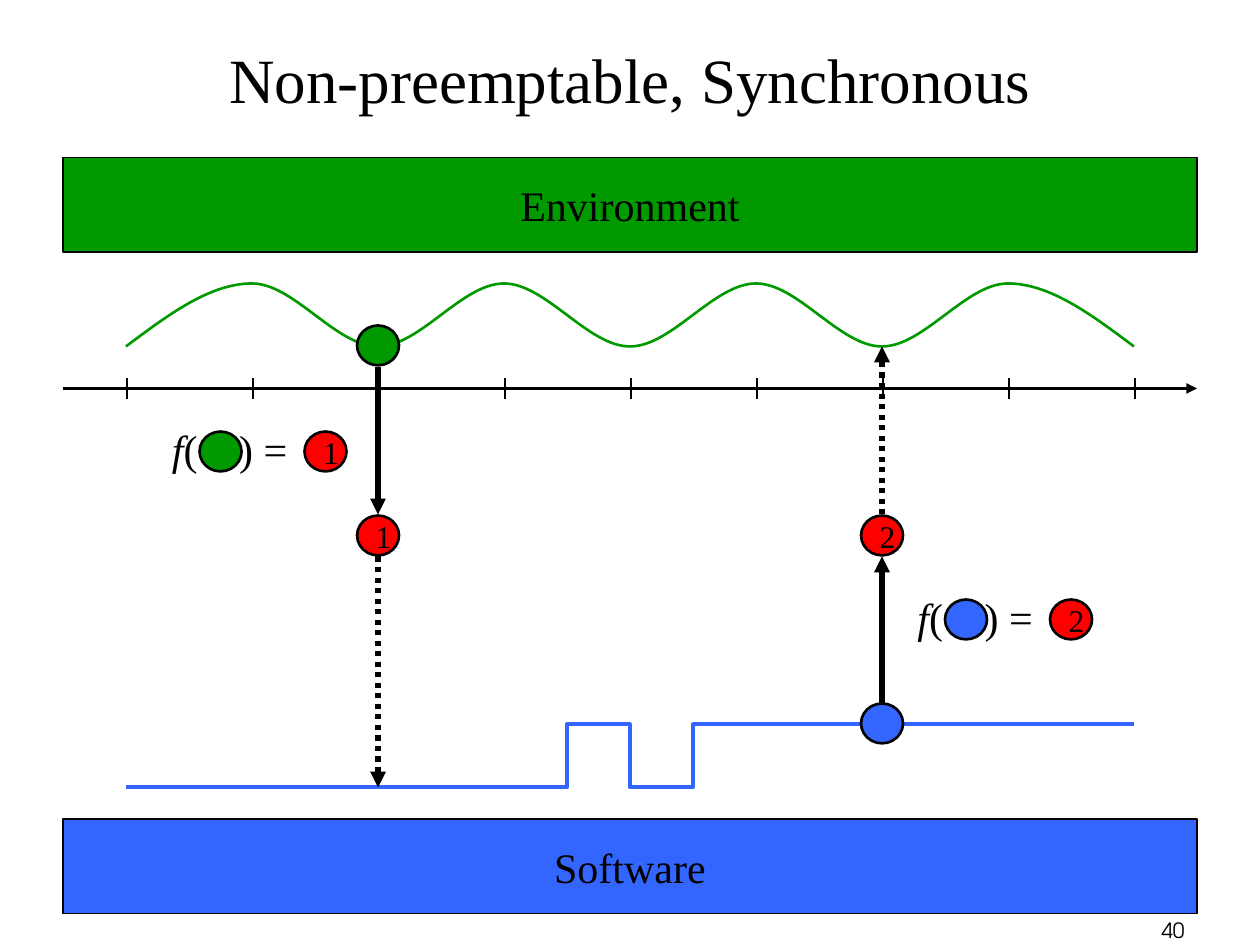
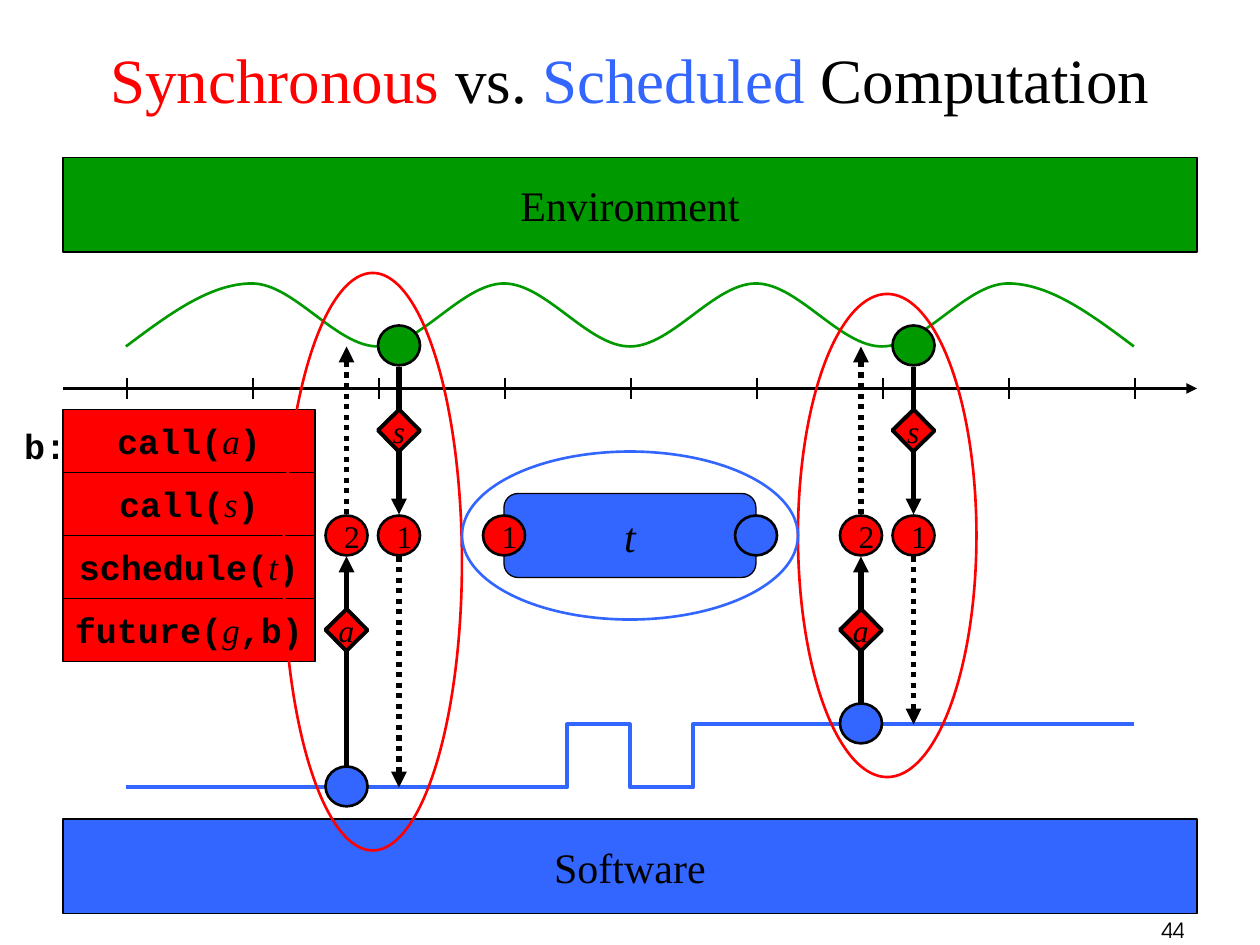
from dataclasses import dataclass
from typing import NamedTuple, Optional

from lxml.etree import SubElement
from pptx import Presentation
from pptx.dml.color import RGBColor
from pptx.enum.dml import MSO_LINE_DASH_STYLE as Dash
from pptx.enum.shapes import MSO_CONNECTOR as Connector, MSO_SHAPE as Preset
from pptx.enum.text import MSO_ANCHOR as Anchor, MSO_AUTO_SIZE as AutoSize, PP_ALIGN as Align
from pptx.oxml.ns import qn
from pptx.util import Pt

SCALE = 7620  # EMU per px, 120 px to the inch

BLACK, GREEN, BLUE, RED = "000000", "009900", "3366FF", "FF0000"
SERIF, MONO, SANS = "Times New Roman", "Courier New", "TeX Gyre Adventor"

CIRCLE_WIDTH, CIRCLE_HEIGHT, DIAMOND = 40, 38, 40
COLUMN = 120
CREST, TROUGH = 270, 330
HIGH, LOW = 690, 750
AXIS_Y = 370
CALL_TOP, CALL_BOTTOM = 490, 530


class Area(NamedTuple):
    left: int
    top: int
    width: int
    height: int


class Run(NamedTuple):
    text: str
    color: Optional[str] = None
    font: Optional[str] = None
    bold: Optional[bool] = None
    italic: Optional[bool] = None


@dataclass
class TextStyle:
    size: int = 24
    font: str = SERIF
    bold: bool = False
    align: Align = Align.CENTER


BODY = TextStyle()
NUMBER = TextStyle(18, align=Align.LEFT)
TRIGGER = TextStyle(18)
CODE = TextStyle(20, MONO, bold=True)
TITLE = TextStyle(36)
PAGE = TextStyle(12, SANS, align=Align.RIGHT)
FORMULA = TextStyle(align=Align.LEFT)


@dataclass
class Reaction:
    """A vertical flow between environment and software, in either direction."""
    x: int
    software_y: int
    sensing: bool
    trigger: str = ""


@dataclass
class Formula:
    left: int
    top: int
    color: str
    result: str


def rgb(color: str) -> RGBColor:
    return RGBColor.from_string(color)


def emu(area: Area) -> list[int]:
    return [value * SCALE for value in area]


def write(frame, runs: list[Run], style: TextStyle, wrap: bool = False) -> None:
    frame.word_wrap = wrap
    paragraph = frame.paragraphs[0]
    paragraph.alignment = style.align
    font = paragraph.font
    font.size, font.name, font.bold = Pt(style.size), style.font, style.bold
    font.color.rgb = rgb(BLACK)
    for part in runs:
        run = paragraph.add_run()
        run.text = part.text
        if part.color:
            run.font.color.rgb = rgb(part.color)
        if part.font:
            run.font.name = part.font
        if part.bold is not None:
            run.font.bold = part.bold
        if part.italic is not None:
            run.font.italic = part.italic


def add_text(slide, area: Area, runs: list[Run], style: TextStyle, wrap: bool = False):
    box = slide.shapes.add_textbox(*emu(area))
    write(box.text_frame, runs, style, wrap)
    return box


def paint(shape, fill: Optional[str], line: str, width: float) -> None:
    shape.shadow.inherit = False
    if fill:
        shape.fill.solid()
        shape.fill.fore_color.rgb = rgb(fill)
    else:
        shape.fill.background()
    shape.line.color.rgb = rgb(line)
    shape.line.width = Pt(width)


def add_box(slide, preset: Preset, area: Area, fill: Optional[str], runs: list[Run] = [],
            style: TextStyle = BODY, line: str = BLACK, width: float = 0.75):
    shape = slide.shapes.add_shape(preset, *emu(area))
    paint(shape, fill, line, width)
    if runs:
        shape.text_frame.vertical_anchor = Anchor.MIDDLE
        write(shape.text_frame, runs, style)
    return shape


def add_circle(slide, left: int, top: int, color: str, number: str = "") -> None:
    area = Area(left, top, CIRCLE_WIDTH, CIRCLE_HEIGHT)
    runs = [Run(number)] if number else []
    add_box(slide, Preset.OVAL, area, color, runs, NUMBER, width=1.5)


def add_line(shapes, start: tuple[int, int], end: tuple[int, int], width: float,
             arrow: bool = True, dotted: bool = False) -> None:
    ends = [value * SCALE for value in (*start, *end)]
    connector = shapes.add_connector(Connector.STRAIGHT, *ends)
    connector.line.color.rgb = rgb(BLACK)
    connector.line.width = Pt(width)
    if dotted:
        connector.line.dash_style = Dash.ROUND_DOT
    properties = connector.element.spPr
    if arrow:
        SubElement(properties.find(qn("a:ln")), qn("a:tailEnd"), type="triangle")
    SubElement(properties, qn("a:effectLst"))


def add_outline(slide, points: list[tuple[int, int]], color: str, width: float):
    builder = slide.shapes.build_freeform(*points[0], scale=SCALE)
    builder.add_line_segments(points[1:], close=False)
    shape = builder.convert_to_shape()
    paint(shape, None, color, width)
    return shape


def curve_segments(shape) -> None:
    """Turn every three line segments into one Bézier segment."""
    outline = next(shape.element.iter(qn("a:path")))
    segments = outline.findall(qn("a:lnTo"))
    for first in range(0, len(segments), 3):
        curve = SubElement(outline, qn("a:cubicBezTo"))
        for segment in segments[first:first + 3]:
            curve.append(segment[0])
            outline.remove(segment)


def add_time_axis(slide) -> None:
    axis = slide.shapes.add_group_shape().shapes
    add_line(axis, (60, AXIS_Y), (1140, AXIS_Y), 2)
    for column in range(9):
        x = 121 + column * COLUMN
        add_line(axis, (x, AXIS_Y - 10), (x, AXIS_Y + 10), 1.5, arrow=False)


def add_signals(slide) -> None:
    middle = (CREST + TROUGH) // 2
    heights = [TROUGH, middle]
    for turn in range(7):
        heights += [TROUGH if turn % 2 else CREST] * 3
    heights += [middle, TROUGH]
    wave = [(COLUMN + step * COLUMN // 3, y) for step, y in enumerate(heights)]
    curve_segments(add_outline(slide, wave, GREEN, 1.5))
    pulse = [(120, LOW), (540, LOW), (540, HIGH), (600, HIGH),
             (600, LOW), (660, LOW), (660, HIGH), (1080, HIGH)]
    add_outline(slide, pulse, BLUE, 2.25)


def start_slide(presentation, title_runs: list[Run], page: str):
    slide = presentation.slides.add_slide(presentation.slide_layouts[5])
    title = slide.shapes.title
    title.left, title.top, title.width, title.height = emu(Area(90, 0, 1020, 150))
    title.text_frame.auto_size = AutoSize.NONE
    title.text_frame.vertical_anchor = Anchor.MIDDLE
    write(title.text_frame, title_runs, TITLE, wrap=True)
    add_time_axis(slide)
    for name, top, color in (("Environment", 150, GREEN), ("Software", 780, BLUE)):
        add_box(slide, Preset.RECTANGLE, Area(60, top, 1080, 90), color, [Run(name)])
    add_signals(slide)
    add_text(slide, Area(890, 868, 250, 30), [Run(page)], PAGE, wrap=True)
    return slide


def add_reaction(slide, reaction: Reaction) -> None:
    x, software_y = reaction.x, reaction.software_y
    left = x - CIRCLE_WIDTH // 2
    if reaction.sensing:
        solid, dotted = (350, CALL_TOP), (CALL_BOTTOM, software_y)
        source_top, color, number, trigger_top = 310, GREEN, "1", 390
    else:
        solid, dotted = (software_y - 20, CALL_BOTTOM), (CALL_TOP, TROUGH)
        source_top, color, number, trigger_top = software_y - 20, BLUE, "2", 580
    add_line(slide.shapes, (x, solid[0]), (x, solid[1]), 3)
    add_line(slide.shapes, (x, dotted[0]), (x, dotted[1]), 3, dotted=True)
    add_circle(slide, left, source_top, color)
    add_circle(slide, left, CALL_TOP + 1, RED, number)
    if reaction.trigger:
        diamond = add_box(slide, Preset.DIAMOND, Area(left, trigger_top, DIAMOND, DIAMOND), RED,
                          [Run(reaction.trigger, italic=True)], TRIGGER, width=2.25)
        diamond.rotation = 0.6


def add_formula(slide, formula: Formula) -> None:
    """Write f(●) = ●, with a tab stop leaving room for the argument."""
    area = Area(formula.left - 38, formula.top - 14, 144, 60)
    box = slide.shapes.add_textbox(*emu(area))
    properties = box.text_frame.paragraphs[0]._p.get_or_add_pPr()
    tabs = SubElement(properties, qn("a:tabLst"))
    SubElement(tabs, qn("a:tab"), pos=str(64 * SCALE), algn="l")
    write(box.text_frame, [Run("f", italic=True), Run("(\t) =")], FORMULA, wrap=True)
    add_circle(slide, formula.left, formula.top, formula.color)
    add_circle(slide, formula.left + 100, formula.top, RED, formula.result)


def build_synchronous(presentation) -> None:
    slide = start_slide(presentation, [Run("Non-preemptable, Synchronous")], "40")
    for reaction in (Reaction(360, LOW, True), Reaction(840, HIGH, False)):
        add_reaction(slide, reaction)
    for formula in (Formula(190, 411, GREEN, "1"), Formula(900, 571, BLUE, "2")):
        add_formula(slide, formula)


def build_comparison(presentation) -> None:
    title = [Run("Synchronous", RED), Run(" vs. "), Run("Scheduled", BLUE), Run(" Computation")]
    slide = start_slide(presentation, title, "44")
    for reaction in (Reaction(330, LOW, False, "a"), Reaction(380, LOW, True, "s"),
                     Reaction(820, HIGH, False, "a"), Reaction(870, HIGH, True, "s")):
        add_reaction(slide, reaction)

    add_box(slide, Preset.FLOWCHART_ALTERNATE_PROCESS, Area(480, 470, 240, 80), BLUE,
            [Run("t", italic=True)])
    add_circle(slide, 460, CALL_TOP + 1, RED, "1")
    add_circle(slide, 700, CALL_TOP + 1, BLUE)

    instructions = [("call(", "a", ")"), ("call(", "s", ")"),
                    ("schedule(", "t", ")"), ("future(", "g", ",b)")]
    for row, (opening, argument, closing) in enumerate(instructions):
        runs = [Run(opening), Run(argument, font=SERIF, bold=False, italic=True), Run(closing)]
        add_box(slide, Preset.RECTANGLE, Area(60, 390 + row * 60, 240, 60), RED, runs, CODE)
    add_text(slide, Area(11, 398, 64, 53), [Run("b:")], CODE)

    for area, color in ((Area(760, 280, 170, 460), RED), (Area(270, 260, 170, 550), RED),
                        (Area(440, 430, 320, 160), BLUE)):
        add_box(slide, Preset.OVAL, area, None, line=color, width=1.5)


def main() -> None:
    presentation = Presentation()
    presentation.slide_width, presentation.slide_height = 1200 * SCALE, 900 * SCALE
    build_synchronous(presentation)
    build_comparison(presentation)
    presentation.save("out.pptx")


if __name__ == "__main__":
    main()
